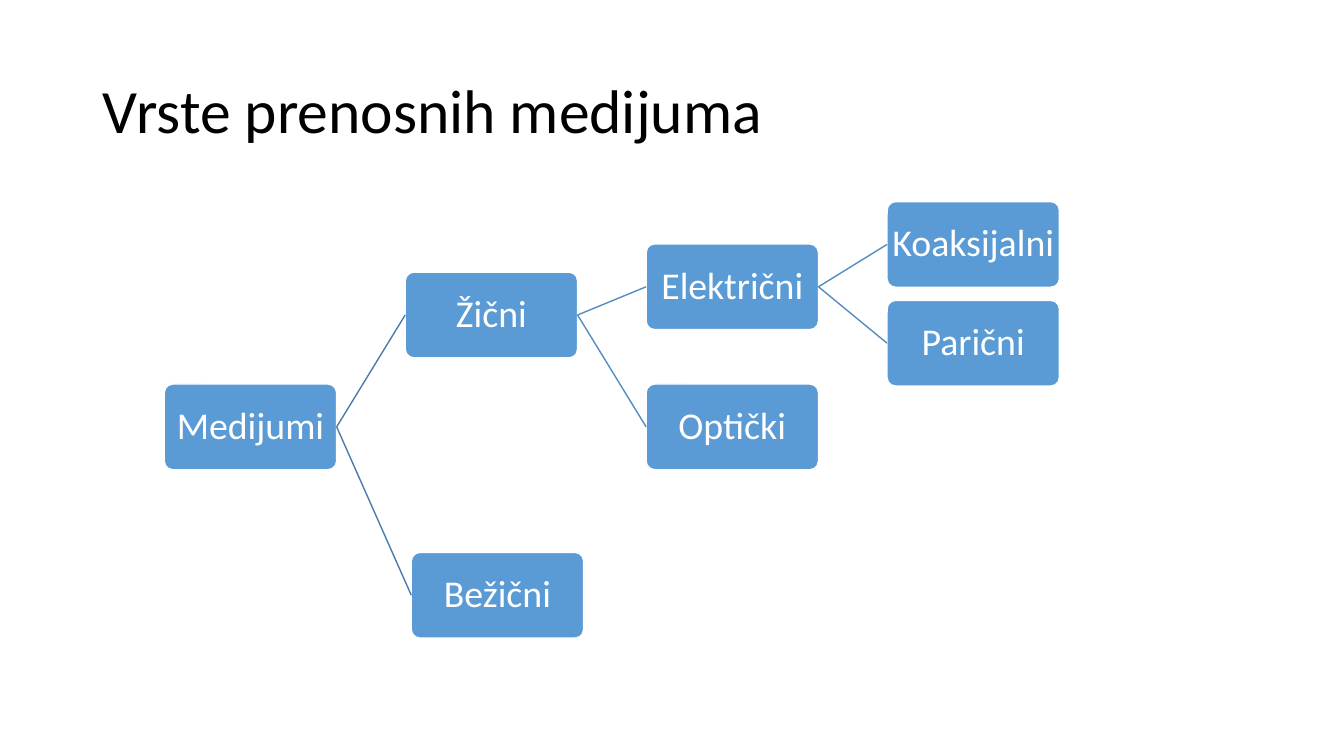
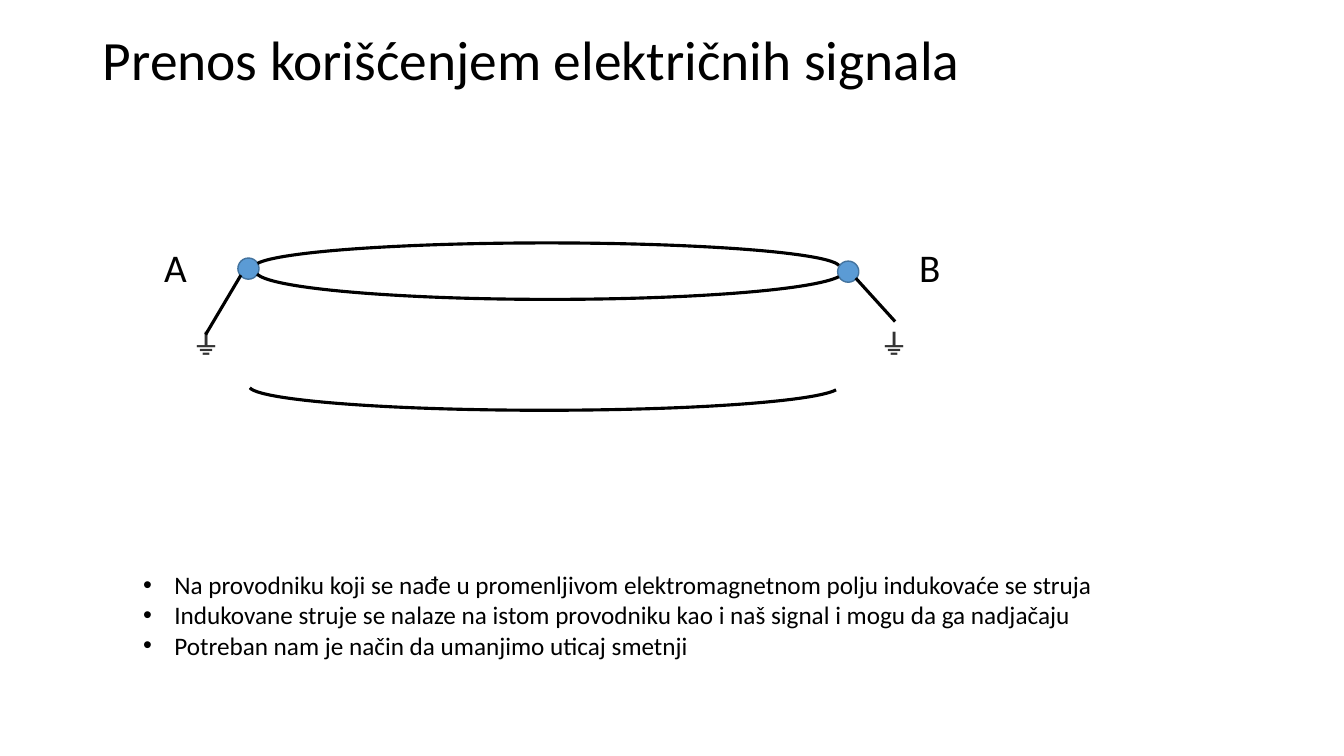
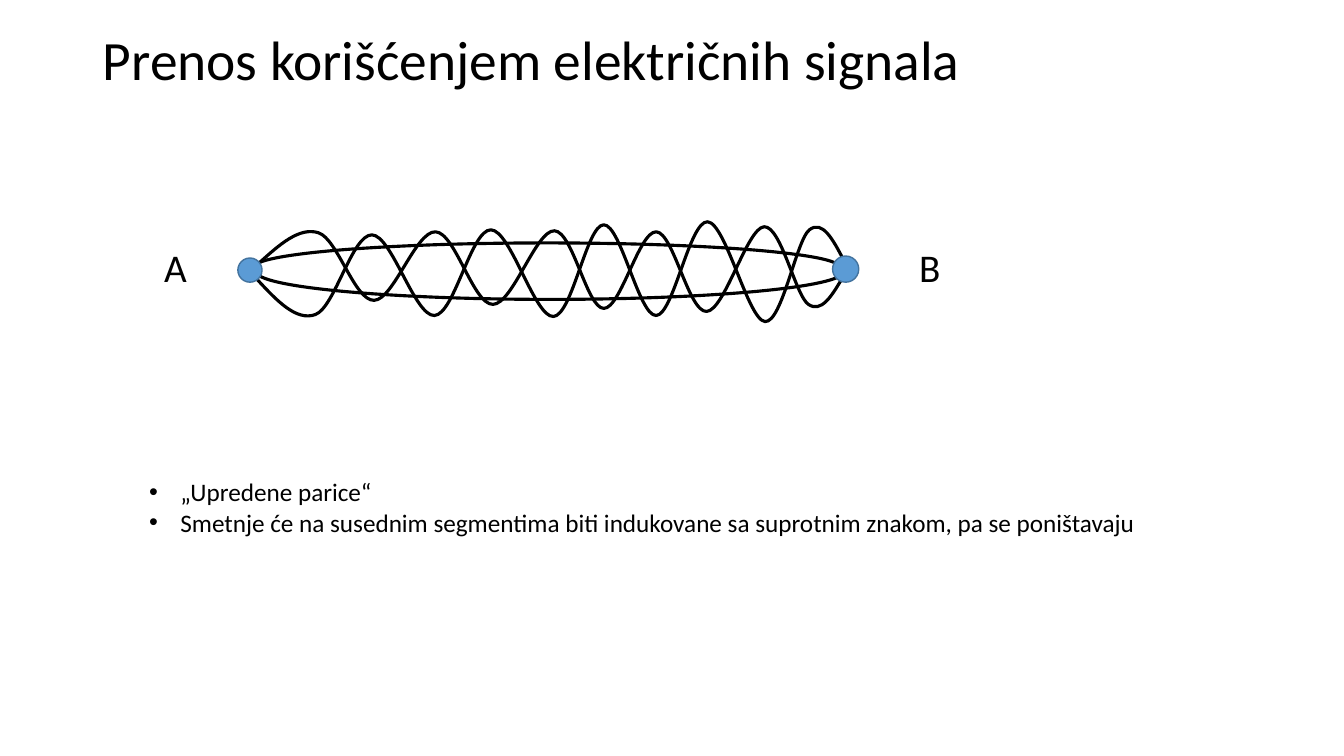
from lxml import etree
from pptx import Presentation
from pptx.dml.color import RGBColor
from pptx.enum.shapes import MSO_CONNECTOR, MSO_SHAPE
from pptx.enum.text import MSO_ANCHOR, MSO_AUTO_SIZE, PP_ALIGN
from pptx.oxml.ns import qn
from pptx.util import Inches, Pt

ROUND_RECT, OVAL, ARC = MSO_SHAPE.ROUNDED_RECTANGLE, MSO_SHAPE.OVAL, MSO_SHAPE.ARC
STRAIGHT = MSO_CONNECTOR.STRAIGHT
MIDDLE, TOP = MSO_ANCHOR.MIDDLE, MSO_ANCHOR.TOP
LEFT, CENTER = PP_ALIGN.LEFT, PP_ALIGN.CENTER
NO_FIT, GROW = MSO_AUTO_SIZE.NONE, MSO_AUTO_SIZE.SHAPE_TO_FIT_TEXT

BLACK = RGBColor(0x00, 0x00, 0x00)
WHITE = RGBColor(0xFF, 0xFF, 0xFF)
GRAY = RGBColor(0x33, 0x33, 0x33)
BLUE = RGBColor(0x5B, 0x9B, 0xD5)
DOT_EDGE = RGBColor(0x43, 0x73, 0x9E)
ROOT_LINK = RGBColor(0x49, 0x7C, 0xAB)
LINK = RGBColor(0x53, 0x8D, 0xC1)

FONT = "Calibri"
COLS, ROWS = 133.33, 75
TITLE_ONLY, TITLE_BODY = 5, 1
RIGHT_SITE, LEFT_SITE = 3, 1
WIRE = 2.25
NODE_W, NODE_H, LEVEL_STEP = 17.1, 8.5, 23.9
UPPER_ARC, LOWER_ARC = (108.445, 215.797), (108.602, 215.72)


def cells(n):
    return Inches(round(n / 10, 3))


class Deck:
    def __init__(self):
        self.prs = Presentation()
        self.prs.slide_width, self.prs.slide_height = cells(COLS), cells(ROWS)
        self.slide = None

    def place(self, sp, box):
        sp.left, sp.top, sp.width, sp.height = map(cells, box)

    def fill_text(self, tf, lines, size, color=BLACK, font=FONT, bold=False,
                  align=LEFT, anchor=TOP, spacing=1.0):
        tf.text = "\n".join(lines)
        tf.vertical_anchor = anchor
        for p in tf.paragraphs:
            p.alignment, p.line_spacing = align, spacing
            p.space_before = p.space_after = Pt(0)
            for r in p.runs:
                r.font.name, r.font.size, r.font.bold = font, Pt(size), bold
                r.font.color.rgb = color

    def new_slide(self, layout, title, box, size):
        self.slide = self.prs.slides.add_slide(self.prs.slide_layouts[layout])
        sp = self.slide.shapes.title
        self.place(sp, box)
        sp.text_frame.auto_size = NO_FIT
        self.fill_text(sp.text_frame, [title], size, anchor=MIDDLE, spacing=0.9)

    def bullets(self, lines, box):
        sp = self.slide.placeholders[1]
        self.place(sp, box)
        tf = sp.text_frame
        tf.auto_size = NO_FIT
        self.fill_text(tf, lines, 18)
        indent = cells(3.1)
        for p in tf.paragraphs:
            pPr = p._p.get_or_add_pPr()
            pPr.set("marL", str(indent))
            pPr.set("indent", str(-indent))

    def label(self, text, box, size=28, **style):
        tf = self.slide.shapes.add_textbox(*map(cells, box)).text_frame
        tf.word_wrap, tf.auto_size = False, GROW
        self.fill_text(tf, [text], size, **style)

    def style(self, sp, fill, edge, width):
        sp.shadow.inherit = False
        if fill is None:
            sp.fill.background()
        else:
            sp.fill.solid()
            sp.fill.fore_color.rgb = fill
        sp.line.color.rgb, sp.line.width = edge, Pt(width)

    def shape(self, kind, box, fill=None, edge=BLACK, width=WIRE, adj=(), rotation=0):
        sp = self.slide.shapes.add_shape(kind, *map(cells, box))
        for i, value in enumerate(adj):
            sp.adjustments[i] = value
        sp.rotation = rotation
        self.style(sp, fill, edge, width)
        return sp

    def dot(self, x, y, size):
        self.shape(OVAL, (x, y, size, size), BLUE, DOT_EDGE, 1)

    def node(self, text, x, y):
        sp = self.shape(ROUND_RECT, (x, y, NODE_W, NODE_H), BLUE, WHITE, 1, (0.1,))
        tf = sp.text_frame
        tf.margin_left = tf.margin_right = tf.margin_top = tf.margin_bottom = cells(0.2)
        tf.word_wrap = False
        self.fill_text(tf, [text], 27, WHITE, align=CENTER, anchor=MIDDLE, spacing=0.9)
        return sp

    def line(self, start=(0, 0), end=(0, 0), color=BLACK, width=WIRE):
        cn = self.slide.shapes.add_connector(STRAIGHT, *map(cells, (*start, *end)))
        cn.line.color.rgb, cn.line.width = color, Pt(width)
        etree.SubElement(cn._element.spPr, qn("a:effectLst"))
        return cn

    def link(self, parent, child, color):
        cn = self.line(color=color, width=1)
        cn.begin_connect(parent, RIGHT_SITE)
        cn.end_connect(child, LEFT_SITE)

    def curve(self, knots):
        pts = [(cells(x), cells(y)) for x, y in knots]
        builder = self.slide.shapes.build_freeform(*pts[0])
        builder.add_line_segments(pts[1:], close=False)
        sp = builder.convert_to_shape()
        self.style(sp, None, BLACK, WIRE)
        slopes = [((c[0] - a[0]) / 6, (c[1] - a[1]) / 6) for a, c in zip(pts, pts[2:])]
        segments = list(sp._element.iter(qn("a:lnTo")))
        for i, seg in enumerate(segments):
            a, b = pts[i], pts[i + 1]
            c1 = c2 = None
            if i > 0:
                c1 = [v + s for v, s in zip(a, slopes[i - 1])]
            if i < len(slopes):
                c2 = [v - s for v, s in zip(b, slopes[i])]
            c1 = c1 or [(v + w) / 2 for v, w in zip(a, c2)]
            c2 = c2 or [(v + w) / 2 for v, w in zip(b, c1)]
            bezier = etree.Element(qn("a:cubicBezTo"))
            for x, y in (c1, c2, b):
                etree.SubElement(bezier, qn("a:pt"), x=str(round(x - sp.left)),
                                 y=str(round(y - sp.top)))
            seg.getparent().replace(seg, bezier)

    def signal_slide(self, lines, box):
        self.new_slide(TITLE_BODY, "Prenos korišćenjem električnih signala",
                       (9.2, 4, 115, 4.4), 39.6)
        self.bullets(lines, box)
        self.label("A", (15.3, 23.6, 4.3, 5.7))
        self.label("B", (90.2, 23.6, 4.2, 5.7))

    def cable(self):
        self.shape(ARC, (25.2, 24.1, 58.1, 4.8), adj=UPPER_ARC)
        self.shape(ARC, (25.4, 24.2, 58.3, 5.5), adj=LOWER_ARC, rotation=180)


def media_tree(deck):
    deck.new_slide(TITLE_ONLY, "Vrste prenosnih medijuma", (9.2, 4, 115, 14.5), 44)
    tree = [
        ("Medijumi", None, 0, 38.1, 0),
        ("Žični", "Medijumi", 1, 27, 0),
        ("Električni", "Žični", 2, 24.2, 0),
        ("Koaksijalni", "Električni", 3, 20, 0),
        ("Parični", "Električni", 3, 29.8, 0),
        ("Optički", "Žični", 2, 38.1, 0),
        ("Bežični", "Medijumi", 1, 54.8, 0.6),
    ]
    nodes = {}
    for name, parent, level, y, shift in tree:
        nodes[name] = deck.node(name, 16.3 + level * LEVEL_STEP + shift, y)
        if parent:
            deck.link(nodes[parent], nodes[name], ROOT_LINK if level == 1 else LINK)


def grounded_pair(deck):
    deck.signal_slide([
        "Na provodniku koji se nađe u promenljivom elektromagnetnom polju indukovaće se struja",
        "Indukovane struje se nalaze na istom provodniku kao i naš signal i mogu da ga nadjačaju",
        "Potreban nam je način da umanjimo uticaj smetnji",
    ], (13.2, 56, 100, 10.1))
    deck.dot(23.6, 25.6, 2.1)
    deck.dot(83.1, 25.9, 2.1)
    deck.cable()
    for x in (18.1, 86.4):
        deck.label("⏚", (x, 31.9, 4.8, 4.4), 20, color=GRAY, font="Open Sans", bold=True)
    deck.shape(ARC, (24.7, 35.9, 58.6, 4.8), adj=UPPER_ARC, rotation=180)
    deck.line((23.9, 27.3), (20.4, 33.2))
    deck.line((84.9, 27.6), (88.8, 31.9))


def twisted_pair(deck):
    deck.signal_slide([
        "„Upredene parice“",
        "Smetnje će na susednim segmentima biti indukovane sa suprotnim znakom, pa se poništavaju",
    ], (13.8, 46.8, 104, 7.1))
    deck.cable()
    deck.curve([(25.7, 26.1), (31.6, 23.1), (37.1, 29.8), (43.2, 23), (48.9, 30.2),
                (55, 22.9), (59.9, 30.6), (65.1, 23), (70.1, 30.9), (75.8, 22.5),
                (80.2, 30.2), (83.5, 27.7)])
    deck.curve([(25.4, 27.6), (31.3, 31.2), (36.9, 23.3), (43.1, 31.3), (48.7, 22.8),
                (54.9, 31.4), (59.9, 22.3), (65.1, 31.3), (70.2, 22), (75.9, 31.9),
                (80.3, 22.8), (83.7, 25.8)])
    deck.dot(82.6, 25.4, 2.6)
    deck.dot(23.6, 25.6, 2.4)


def main():
    deck = Deck()
    media_tree(deck)
    grounded_pair(deck)
    twisted_pair(deck)
    deck.prs.save("out.pptx")


if __name__ == "__main__":
    main()
